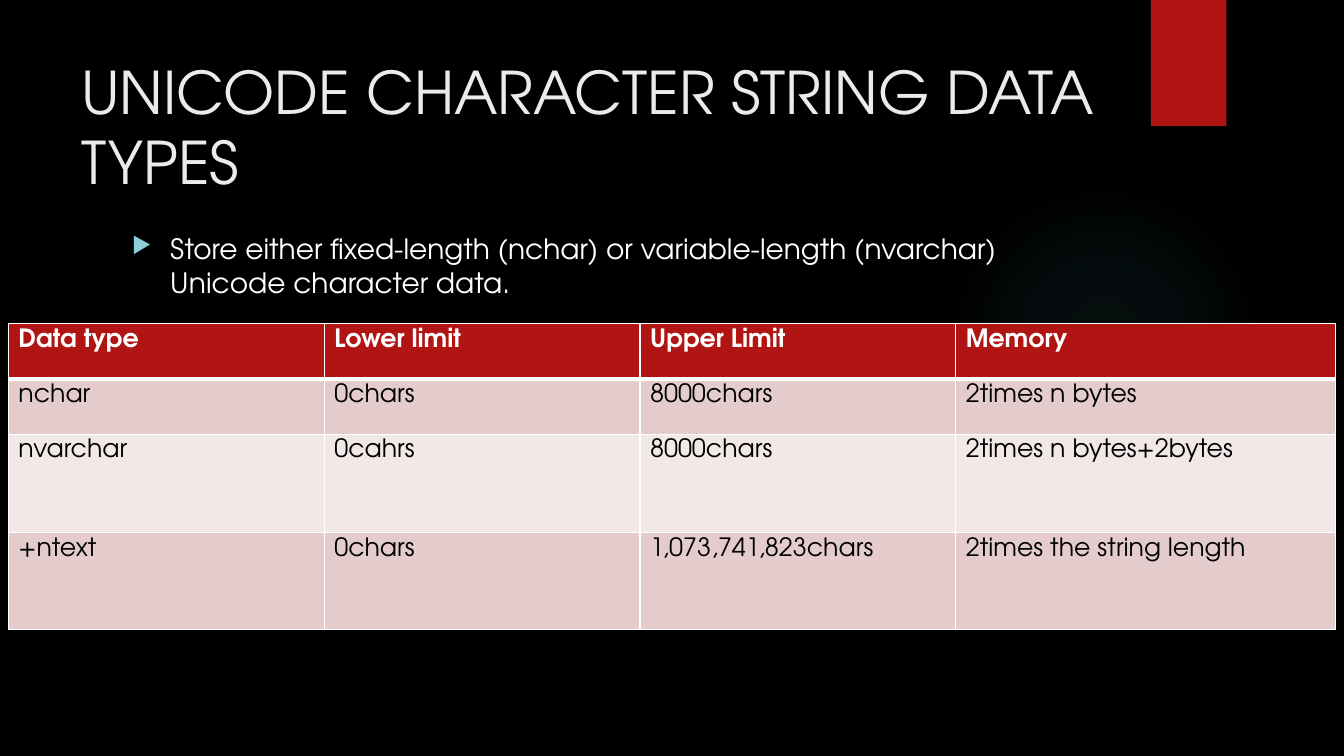
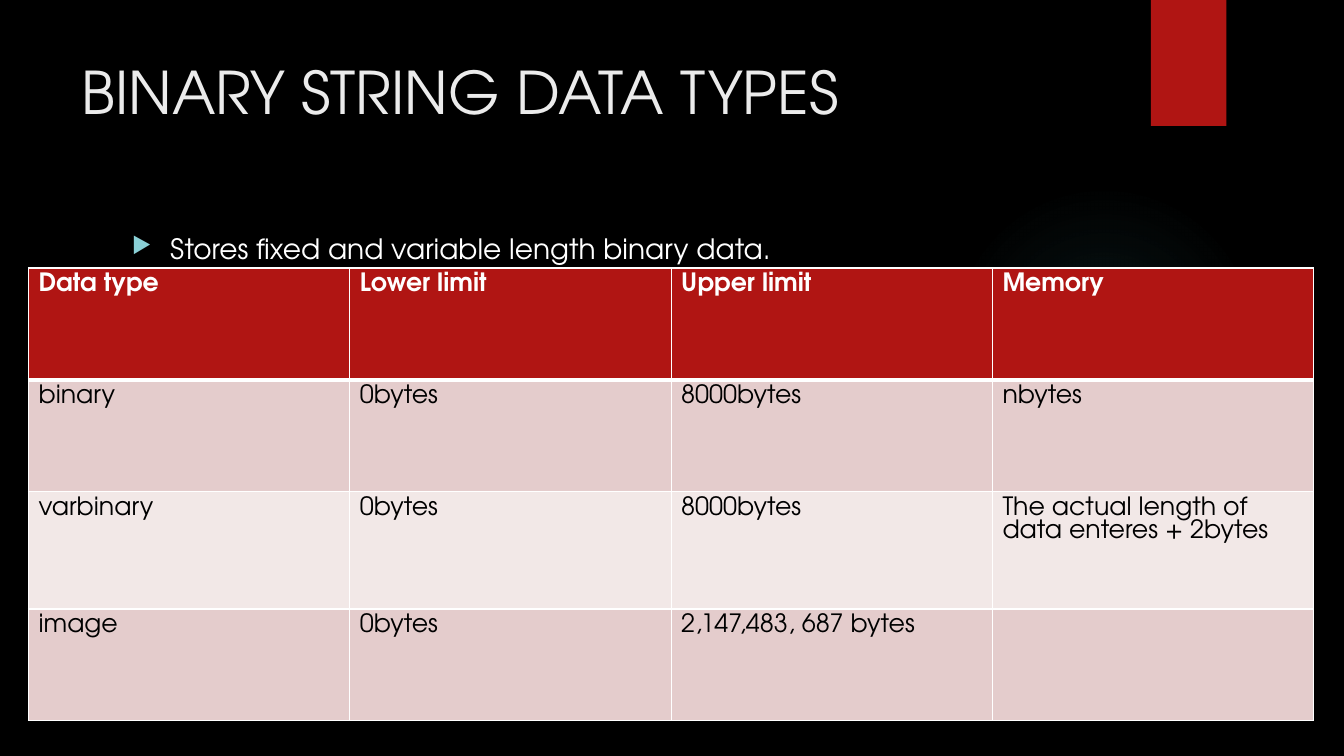
from dataclasses import dataclass

from pptx import Presentation
from pptx.dml.color import RGBColor as Rgb
from pptx.enum.shapes import MSO_SHAPE as Preset
from pptx.oxml import parse_xml
from pptx.oxml.ns import nsdecls, qn
from pptx.slide import Slide
from pptx.text.text import _Paragraph as Paragraph
from pptx.util import Emu, Inches, Pt

FONT = "TeX Gyre Adventor"
COLORS = {
    "night": "000000",
    "glow": "50B9C1",
    "red": "B01513",
    "title": "EBEBEB",
    "white": "FFFFFF",
    "marker": "8AD0D6",
    "dark_band": "E4CCCC",
    "light_band": "F2E8E7",
}
GRID_COLUMNS, GRID_ROWS = 160, 90
WIDTH, HEIGHT = Inches(13.33), Inches(7.5)
THIN, THICK = 1, 3
GLOW_STOPS = ((0, 7), (36, 6), (69, 0))


@dataclass(frozen=True)
class Area:
    column: float
    row: float
    columns: float
    rows: float

    def box(self) -> tuple[Emu, Emu, Emu, Emu]:
        return across(self.column), down(self.row), across(self.columns), down(self.rows)


@dataclass(frozen=True)
class TypeTable:
    column: float
    row: float
    widths: tuple[float, ...]
    heights: tuple[float, ...]
    cells: tuple[tuple[str, ...], ...]


@dataclass(frozen=True)
class Topic:
    title: str
    summary: str
    types: TypeTable


GLOW = Area(112.92, 22, 37, 37)
RIBBON = Area(137, 0, 9, 15)
TITLE = Area(8.52, 6, 123.5, 18.36)
SUMMARY = Area(14.52, 27, 117.36, 55.1)

TOPICS = (
    Topic(
        "UNICODE CHARACTER STRING DATA TYPES",
        "Store either fixed-length (nchar) or variable-length (nvarchar) Unicode character data.",
        TypeTable(
            1, 38.5, (37.6, 37.6, 37.6, 45.2), (6.6, 6.6, 11.7, 11.55),
            (
                ("Data\u00a0type", "Lower limit", "Upper Limit", "Memory"),
                ("nchar", "0chars", "8000chars", "2times n bytes"),
                ("nvarchar", "0cahrs", "8000chars", "2times n bytes+2bytes"),
                ("+ntext", "0chars", "1,073,741,823chars", "2times the string length"),
            ),
        ),
    ),
    Topic(
        "BINARY STRING DATA TYPES",
        "Stores fixed and variable length binary data.",
        TypeTable(
            3.4, 31.9, (38.25,) * 4, (13.3, 13.3, 14, 13.3),
            (
                ("Data type", "Lower limit", "Upper limit", "Memory"),
                ("binary", "0bytes", "8000bytes", "nbytes"),
                ("varbinary", "0bytes", "8000bytes", "The actual length of data enteres + 2bytes"),
                ("image", "0bytes", "2,147,483, 687 bytes", ""),
            ),
        ),
    ),
)


def across(columns: float) -> Emu:
    return Emu(round(WIDTH * columns / GRID_COLUMNS))


def down(rows: float) -> Emu:
    return Emu(round(HEIGHT * rows / GRID_ROWS))


def color(name: str) -> Rgb:
    return Rgb.from_string(COLORS[name])


def set_font(line: Paragraph, size: float, ink: str, bold: bool = False) -> None:
    font = line.font
    font.name, font.size, font.bold = FONT, Pt(size), bold
    font.color.rgb = color(ink)


def draw_glow(slide: Slide) -> None:
    glow = slide.shapes.add_shape(Preset.OVAL, *GLOW.box())
    glow.shadow.inherit = False
    glow.line.fill.background()
    glow.fill.background()
    stops = "".join(
        f'<a:gs pos="{place * 1000}"><a:srgbClr val="{COLORS["glow"]}">'
        f'<a:alpha val="{opacity * 1000}"/></a:srgbClr></a:gs>'
        for place, opacity in GLOW_STOPS
    )
    gradient = parse_xml(
        f'<a:gradFill {nsdecls("a")} rotWithShape="1"><a:gsLst>{stops}</a:gsLst>'
        '<a:path path="circle"><a:fillToRect l="50000" t="50000" r="50000" b="50000"/>'
        "</a:path></a:gradFill>"
    )
    properties = glow.element.spPr
    properties.replace(properties.find(qn("a:noFill")), gradient)


def draw_ribbon(slide: Slide) -> None:
    ribbon = slide.shapes.add_shape(Preset.RECTANGLE, *RIBBON.box())
    ribbon.shadow.inherit = False
    ribbon.fill.solid()
    ribbon.fill.fore_color.rgb = color("red")
    ribbon.line.fill.background()


def add_line(slide: Slide, area: Area, text: str) -> Paragraph:
    frame = slide.shapes.add_textbox(*area.box()).text_frame
    frame.word_wrap = True
    line = frame.paragraphs[0]
    line.text = text
    return line


def add_marker(line: Paragraph) -> None:
    line.space_before = Pt(10)
    properties = line._p.get_or_add_pPr()
    properties.set("marL", str(Inches(0.38)))
    properties.set("indent", str(-Inches(0.38)))
    for xml in (
        f'<a:buClr {nsdecls("a")}><a:srgbClr val="{COLORS["marker"]}"/></a:buClr>',
        f'<a:buSzPct {nsdecls("a")} val="80000"/>',
        f'<a:buChar {nsdecls("a")} char="\u25b6"/>',
    ):
        properties.append(parse_xml(xml))


def draw_types(slide: Slide, types: TypeTable) -> None:
    area = Area(types.column, types.row, sum(types.widths), sum(types.heights))
    grid = slide.shapes.add_table(len(types.heights), len(types.widths), *area.box()).table
    for column, width in zip(grid.columns, types.widths):
        column.width = across(width)
    for row, height in zip(grid.rows, types.heights):
        row.height = down(height)
    for r, texts in enumerate(types.cells):
        header = r == 0
        band = "red" if header else ("light_band", "dark_band")[r % 2]
        borders = {
            "L": THIN,
            "R": THIN,
            "T": THICK if r == 1 else THIN,
            "B": THICK if header else THIN,
        }
        for c, text in enumerate(texts):
            cell = grid.cell(r, c)
            properties = cell._tc.get_or_add_tcPr()
            for side, weight in borders.items():
                properties.append(parse_xml(
                    f'<a:ln{side} {nsdecls("a")} w="{Pt(weight)}"><a:solidFill>'
                    f'<a:srgbClr val="{COLORS["white"]}"/></a:solidFill></a:ln{side}>'
                ))
            cell.fill.solid()
            cell.fill.fore_color.rgb = color(band)
            line = cell.text_frame.paragraphs[0]
            line.text = text
            set_font(line, 18, "white" if header else "night", header)


def draw_topic(slide: Slide, topic: Topic) -> None:
    slide.background.fill.solid()
    slide.background.fill.fore_color.rgb = color("night")
    draw_glow(slide)
    draw_ribbon(slide)
    set_font(add_line(slide, TITLE, topic.title), 42, "title")
    summary = add_line(slide, SUMMARY, topic.summary)
    add_marker(summary)
    set_font(summary, 20, "white")
    draw_types(slide, topic.types)


deck = Presentation()
deck.slide_width, deck.slide_height = WIDTH, HEIGHT
for topic in TOPICS:
    draw_topic(deck.slides.add_slide(deck.slide_layouts[6]), topic)
deck.save("out.pptx")
